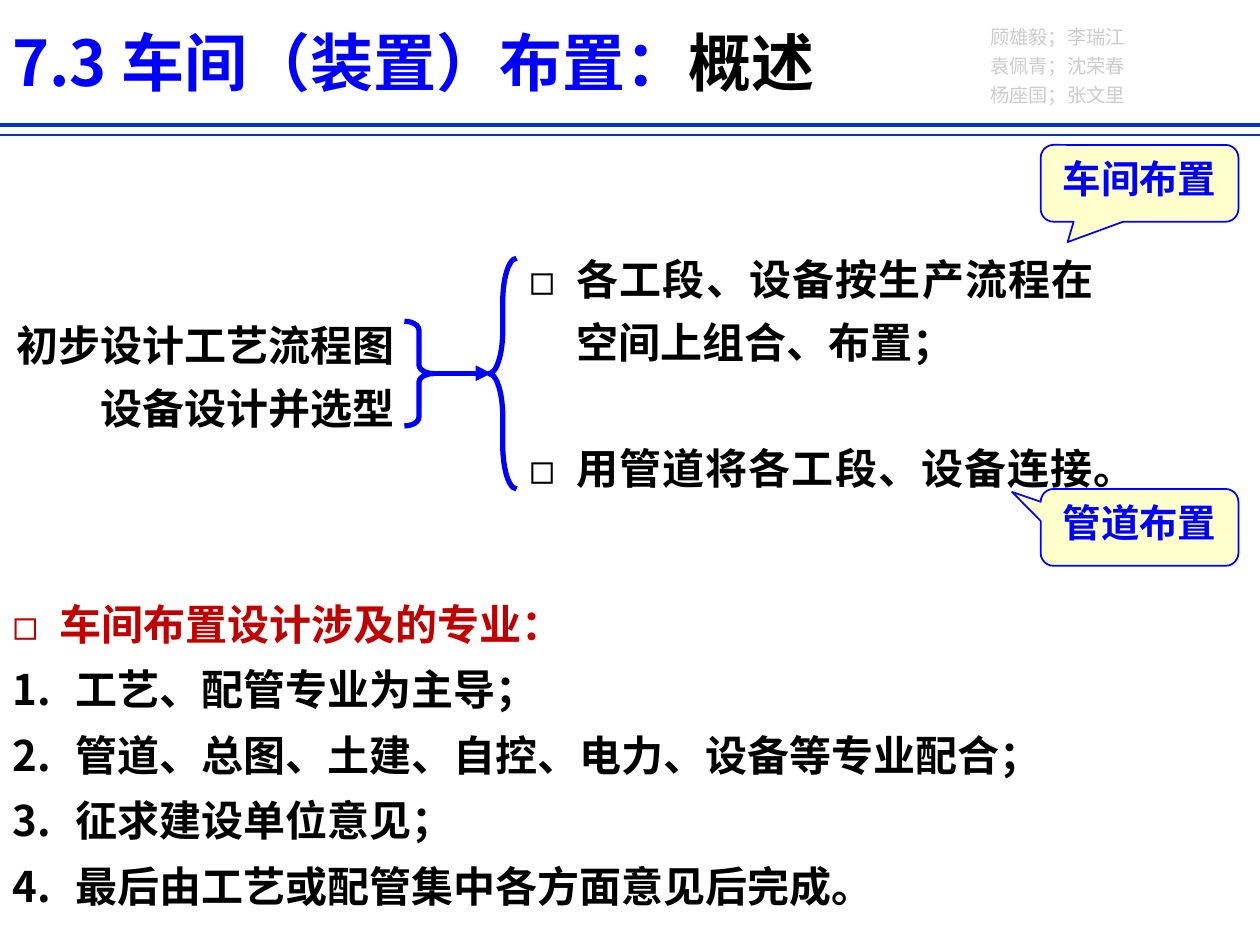
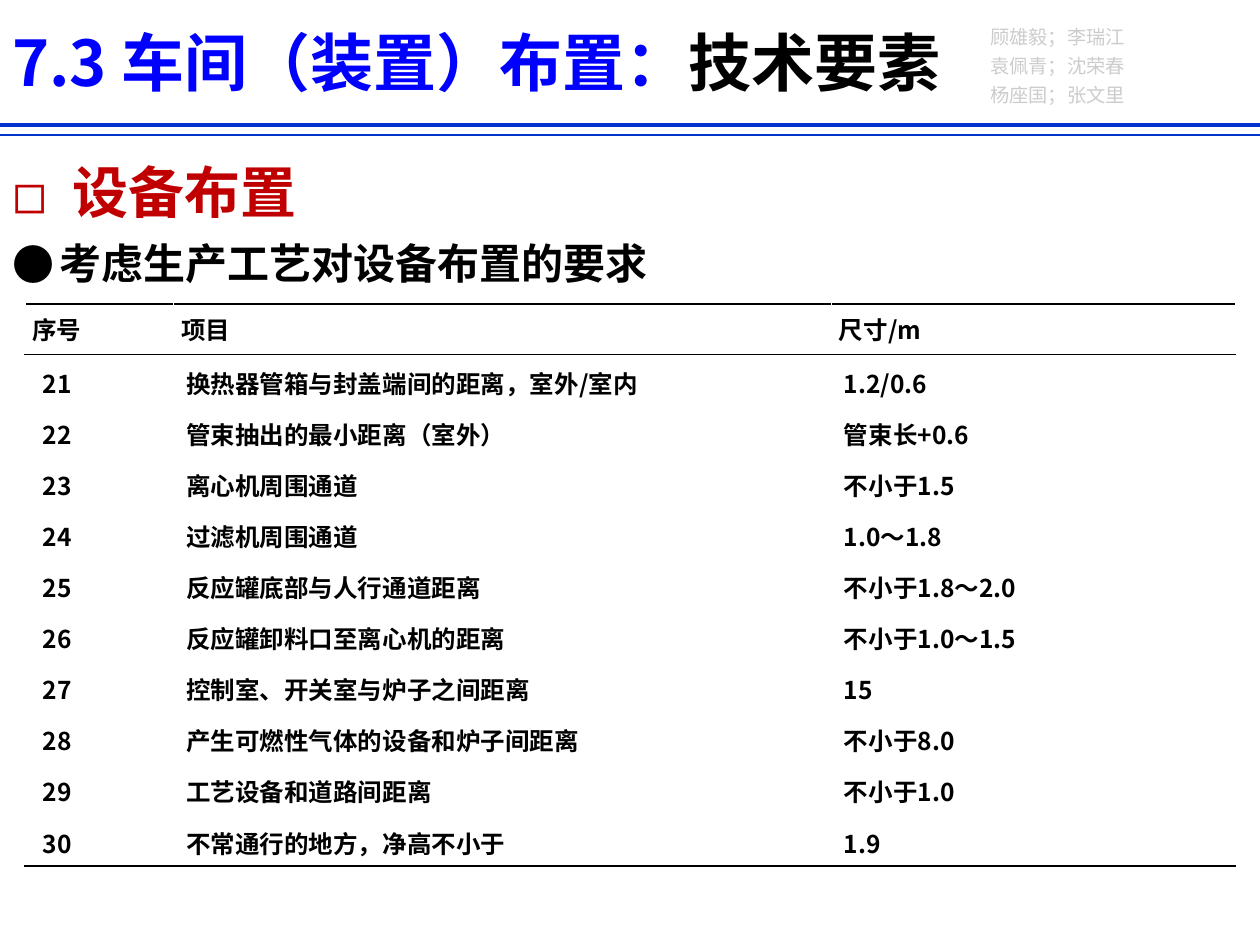
from dataclasses import dataclass
from typing import Any, Optional

from lxml import etree
from pptx import Presentation
from pptx.dml import color
from pptx.enum import shapes, text
from pptx.oxml import ns
from pptx.util import Pt

COLORS = {
    "white": "FFFFFF", "black": "000000", "blue": "0000FF", "rule": "0033CC",
    "red": "C00000", "note": "FFFFCC", "grey": "CCCCCC",
}
FONT = "Noto Sans CJK SC"
ALIGN = text.PP_ALIGN
ANCHOR = text.MSO_ANCHOR
SHAPE = shapes.MSO_SHAPE
TOP_BOX = {"word_wrap": True, "vertical_anchor": ANCHOR.TOP}


@dataclass(frozen=True)
class Box:
    left: float
    top: float
    width: float
    height: float

    def lengths(self) -> list:
        return [Pt(value) for value in (self.left, self.top, self.width, self.height)]


@dataclass(frozen=True)
class Span:
    words: str
    size: float = 24
    ink: str = "black"
    bold: bool = True


@dataclass(frozen=True)
class Line:
    spans: tuple
    spacing: float = 1.0
    align: Optional[Any] = None
    bullet: str = ""
    indent: float = 0
    hanging: float = 0
    before: float = 0


@dataclass(frozen=True)
class Rule:
    start: tuple
    end: tuple
    ink: str
    weight: float
    arrow: bool = False


@dataclass(frozen=True)
class Figure:
    kind: Any
    box: Box
    adjustments: tuple
    fill: str
    weight: float
    lines: tuple = ()


AUTHORS = ("顾雄毅；李瑞江", "袁佩青；沈荣春", "杨座国；张文里")
HEADER_RULES = (
    Rule((0, 71.3), (720, 71.3), "rule", 2.25),
    Rule((0, 77), (720, 77), "rule", 1),
)
INPUTS = ("初步设计工艺流程图", "设备设计并选型")
DISCIPLINES = (
    "工艺、配管专业为主导；",
    "管道、总图、土建、自控、电力、设备等专业配合；",
    "征求建设单位意见；",
    "最后由工艺或配管集中各方面意见后完成。",
)
CLEARANCE_HEADER = ("序号", "项目", "尺寸/m")
FIRST_NUMBER = 21
CLEARANCES = (
    ("换热器管箱与封盖端间的距离，室外/室内", "1.2/0.6"),
    ("管束抽出的最小距离（室外）", "管束长+0.6"),
    ("离心机周围通道", "不小于1.5"),
    ("过滤机周围通道", "1.0～1.8"),
    ("反应罐底部与人行通道距离", "不小于1.8～2.0"),
    ("反应罐卸料口至离心机的距离", "不小于1.0～1.5"),
    ("控制室、开关室与炉子之间距离", "15"),
    ("产生可燃性气体的设备和炉子间距离", "不小于8.0"),
    ("工艺设备和道路间距离", "不小于1.0"),
    ("不常通行的地方，净高不小于", "1.9"),
)


def rgb(name: str) -> color.RGBColor:
    return color.RGBColor.from_string(COLORS[name])


def apply(target, values: dict) -> None:
    for name, value in values.items():
        setattr(target, name, value)


def add_element(parent, tag: str, **attributes: str):
    return etree.SubElement(parent, ns.qn(tag), attributes)


def write_lines(frame, lines: tuple) -> None:
    for index, line in enumerate(lines):
        paragraph = frame.add_paragraph() if index else frame.paragraphs[0]
        apply(paragraph, {"alignment": line.align, "line_spacing": line.spacing})
        if line.before:
            paragraph.space_before = Pt(line.before)
        properties = paragraph._p.get_or_add_pPr()
        if line.indent:
            properties.set("marL", str(Pt(line.indent)))
            properties.set("indent", str(-Pt(line.hanging)))
        if line.bullet == "number":
            add_element(properties, "a:buAutoNum", type="arabicPeriod")
        elif line.bullet:
            add_element(properties, "a:buFont", typeface=FONT)
            add_element(properties, "a:buChar", char=line.bullet)
        for span in line.spans:
            run = paragraph.add_run()
            run.text = span.words
            apply(run.font, {"size": Pt(span.size), "bold": span.bold, "name": FONT})
            run.font.color.rgb = rgb(span.ink)
            add_element(run._r.get_or_add_rPr(), "a:ea", typeface=FONT)


def add_text(slide, box: Box, lines: tuple, **values) -> None:
    shape = slide.shapes.add_textbox(*box.lengths())
    apply(shape.text_frame, TOP_BOX | values)
    write_lines(shape.text_frame, lines)


def add_rule(slide, rule: Rule) -> None:
    ends = [Pt(value) for value in rule.start + rule.end]
    connector = slide.shapes.add_connector(shapes.MSO_CONNECTOR.STRAIGHT, *ends)
    connector.line.color.rgb = rgb(rule.ink)
    connector.line.width = Pt(rule.weight)
    if rule.arrow:
        add_element(connector.line._get_or_add_ln(), "a:tailEnd", type="triangle")
    add_element(connector._element.spPr, "a:effectLst")


def add_figure(slide, figure: Figure) -> None:
    shape = slide.shapes.add_shape(figure.kind, *figure.box.lengths())
    shape.shadow.inherit = False
    for index, value in enumerate(figure.adjustments):
        shape.adjustments[index] = value
    shape.fill.solid()
    shape.fill.fore_color.rgb = rgb(figure.fill)
    shape.line.color.rgb = rgb("blue")
    shape.line.width = Pt(figure.weight)
    apply(shape.text_frame, TOP_BOX)
    write_lines(shape.text_frame, figure.lines)


def callout(top: float, words: str, pointer: tuple) -> Figure:
    label = Line((Span(words, 22, "blue"),), align=ALIGN.CENTER)
    return Figure(SHAPE.ROUNDED_RECTANGULAR_CALLOUT, Box(594.7, top, 113, 43.9),
                  pointer + (0.167,), "note", 1, (label,))


def add_base_slide(presentation, topic: str):
    slide = presentation.slides.add_slide(presentation.slide_layouts[6])
    authors = tuple(Line((Span(name, 11, "grey", False),), 1.25, ALIGN.JUSTIFY)
                    for name in AUTHORS)
    add_text(slide, Box(558.7, 7.9, 102.2, 55.4), authors)
    for rule in HEADER_RULES:
        add_rule(slide, rule)
    title = Line((Span("7.3 车间（装置）布置：", 36, "blue"), Span(topic, 36)))
    add_text(slide, Box(0, 9.4, 720, 51), (title,), vertical_anchor=ANCHOR.MIDDLE)
    return slide


def set_border(cell, side: str, ink: str, weight: float) -> None:
    border = add_element(cell._tc.get_or_add_tcPr(), f"a:ln{side}", w=str(Pt(weight)))
    fill = add_element(border, "a:solidFill")
    add_element(fill, "a:srgbClr", val=COLORS[ink])


def add_clearance_table(slide, box: Box, widths: tuple) -> None:
    rows = [CLEARANCE_HEADER]
    rows += [(str(number), *row) for number, row in enumerate(CLEARANCES, FIRST_NUMBER)]
    table = slide.shapes.add_table(len(rows), len(widths), *box.lengths()).table
    apply(table, {"first_row": False, "horz_banding": False})
    for column, width in zip(table.columns, widths):
        column.width = Pt(width)
    plain, thin, thick = ("white", 1), ("black", 0.5), ("black", 1.5)
    header_format = {"vertical_anchor": ANCHOR.MIDDLE,
                     "margin_left": Pt(4.3), "margin_right": Pt(4.3),
                     "margin_top": Pt(1.4), "margin_bottom": Pt(1.4)}
    last = len(rows) - 1
    for row_index, row in enumerate(rows):
        table.rows[row_index].height = Pt(box.height / len(rows))
        top = {0: thick, 1: thin}.get(row_index, plain)
        bottom = {0: thin, last: thick}.get(row_index, plain)
        for column_index, words in enumerate(row):
            cell = table.cell(row_index, column_index)
            if row_index == 0:
                apply(cell, header_format)
            indent = 3 if row_index and column_index == 0 else 0
            spacing = 1.1 if row_index else 1.0
            write_lines(cell.text_frame, (Line((Span(words, 14),), spacing, indent=indent),))
            for side, border in zip("LRTB", (plain, plain, top, bottom)):
                set_border(cell, side, *border)
            cell.fill.background()


def build_overview(presentation) -> None:
    slide = add_base_slide(presentation, "概述")
    inputs = tuple(Line((Span(words),), 1.25, ALIGN.RIGHT) for words in INPUTS)
    add_text(slide, Box(0, 172, 232.6, 76.3), inputs, word_wrap=False)
    heading = Line((Span("车间布置设计涉及的专业：", ink="red"),), 1.3,
                   bullet="◻", indent=27, hanging=27)
    steps = tuple(Line((Span(words),), 1.3, bullet="number", indent=36, hanging=36)
                  for words in DISCIPLINES)
    add_text(slide, Box(0, 329.8, 707.8, 195), (heading, *steps))
    tasks = tuple(Line((Span(words),), 1.25, ALIGN.JUSTIFY, "◻", 27, 27, before)
                  for words, before in (("各工段、设备按生产流程在空间上组合、布置；", 0),
                                        ("用管道将各工段、设备连接。", 36)))
    add_text(slide, Box(295.2, 133.9, 337, 149), tasks)
    figures = (
        Figure(SHAPE.RIGHT_BRACE, Box(231.1, 183.6, 16.6, 59.8), (0.305, 0.5), "white", 3),
        Figure(SHAPE.LEFT_BRACE, Box(279.4, 147.6, 15.8, 131.8), (1.57, 0.5), "white", 3),
        callout(82.8, "车间布置", (-0.364, 0.765)),
        callout(279.4, "管道布置", (-0.645, -0.461)),
    )
    for figure in figures:
        add_figure(slide, figure)
    add_rule(slide, Rule((247.7, 213.3), (280.8, 213.3), "blue", 3, True))


def build_clearances(presentation) -> None:
    slide = add_base_slide(presentation, "技术要素")
    headings = (
        Line((Span("设备布置", 32, "red"),), 1.25, ALIGN.JUSTIFY, "◻", 34.2, 34.2),
        Line((Span("考虑生产工艺对设备布置的要求"),), 1.25, ALIGN.JUSTIFY, "●", 27, 27),
    )
    add_text(slide, Box(0, 77, 711.4, 88.6), headings)
    add_clearance_table(slide, Box(14.2, 173.5, 691.9, 321.4), (85, 375.9, 231))


def main() -> None:
    presentation = Presentation()
    apply(presentation, {"slide_width": Pt(720), "slide_height": Pt(540)})
    build_overview(presentation)
    build_clearances(presentation)
    presentation.save("out.pptx")


if __name__ == "__main__":
    main()
